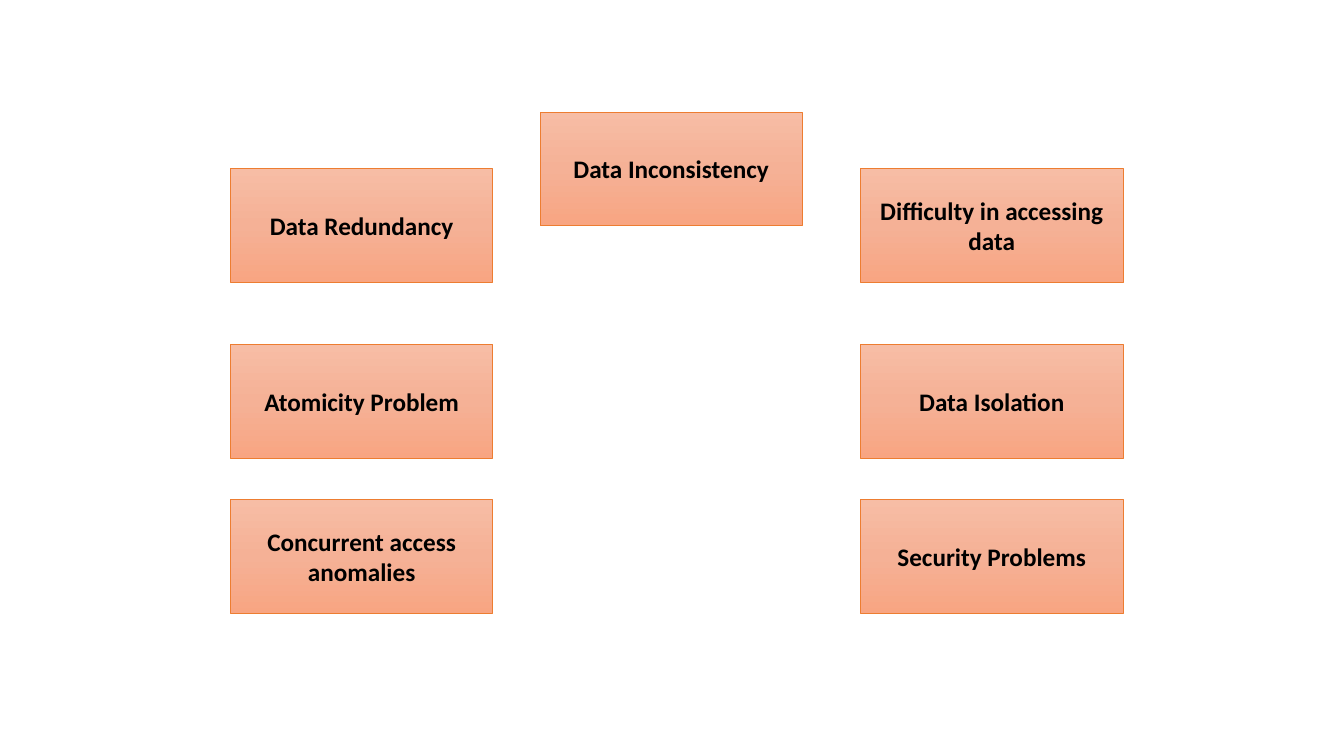
import copy
import pptx
import pptx.util
import pptx.oxml.ns
import pptx.dml.color
import pptx.enum.shapes
import pptx.enum.text

Cm = pptx.util.Cm
RGB = pptx.dml.color.RGBColor.from_string

hues = {"top": "F7BDA5", "mid": "F5B196", "base": "F8A582",
        "edge": "ED7D31", "text": "000000"}

deck = pptx.Presentation()
deck.slide_width, deck.slide_height = Cm(33.87), Cm(19.05)
slide = deck.slides.add_slide(deck.slide_layouts[6])

# Columns, rows and box size in cm
left, center, right = 5.81, 13.61, 21.69
peak, high, middle, low = 2.82, 4.25, 8.68, 12.59
width, height = 6.61, 2.87

issues = [
    ("Data Redundancy", left, high),
    ("Data Inconsistency", center, peak),
    ("Difficulty in accessing data", right, high),
    ("Data Isolation", right, middle),
    ("Security Problems", right, low),
    ("Atomicity Problem", left, middle),
    ("Concurrent access anomalies", left, low),
]

for label, x, y in issues:
    box = slide.shapes.add_shape(pptx.enum.shapes.MSO_SHAPE.RECTANGLE,
                                 Cm(x), Cm(y), Cm(width), Cm(height))
    box.shadow.inherit = False

    # Gradient from top to bottom, with a third stop halfway
    box.fill.gradient()
    box.fill.gradient_angle = 270
    stops = box._element.spPr.find(".//" + pptx.oxml.ns.qn("a:gsLst"))
    stops.insert(1, copy.deepcopy(stops[0]))
    stops[1].set("pos", "50000")
    for stop, hue in zip(box.fill.gradient_stops, ("top", "mid", "base")):
        stop.color.rgb = RGB(hues[hue])
    box.line.color.rgb = RGB(hues["edge"])
    box.line.width = pptx.util.Pt(0.5)

    # Label
    frame = box.text_frame
    frame.word_wrap = True
    frame.vertical_anchor = pptx.enum.text.MSO_ANCHOR.MIDDLE
    para = frame.paragraphs[0]
    para.alignment = pptx.enum.text.PP_ALIGN.CENTER
    run = para.add_run()
    run.text = label
    run.font.name = "Calibri"
    run.font.size = pptx.util.Pt(18)
    run.font.bold = True
    run.font.color.rgb = RGB(hues["text"])

deck.save("out.pptx")
